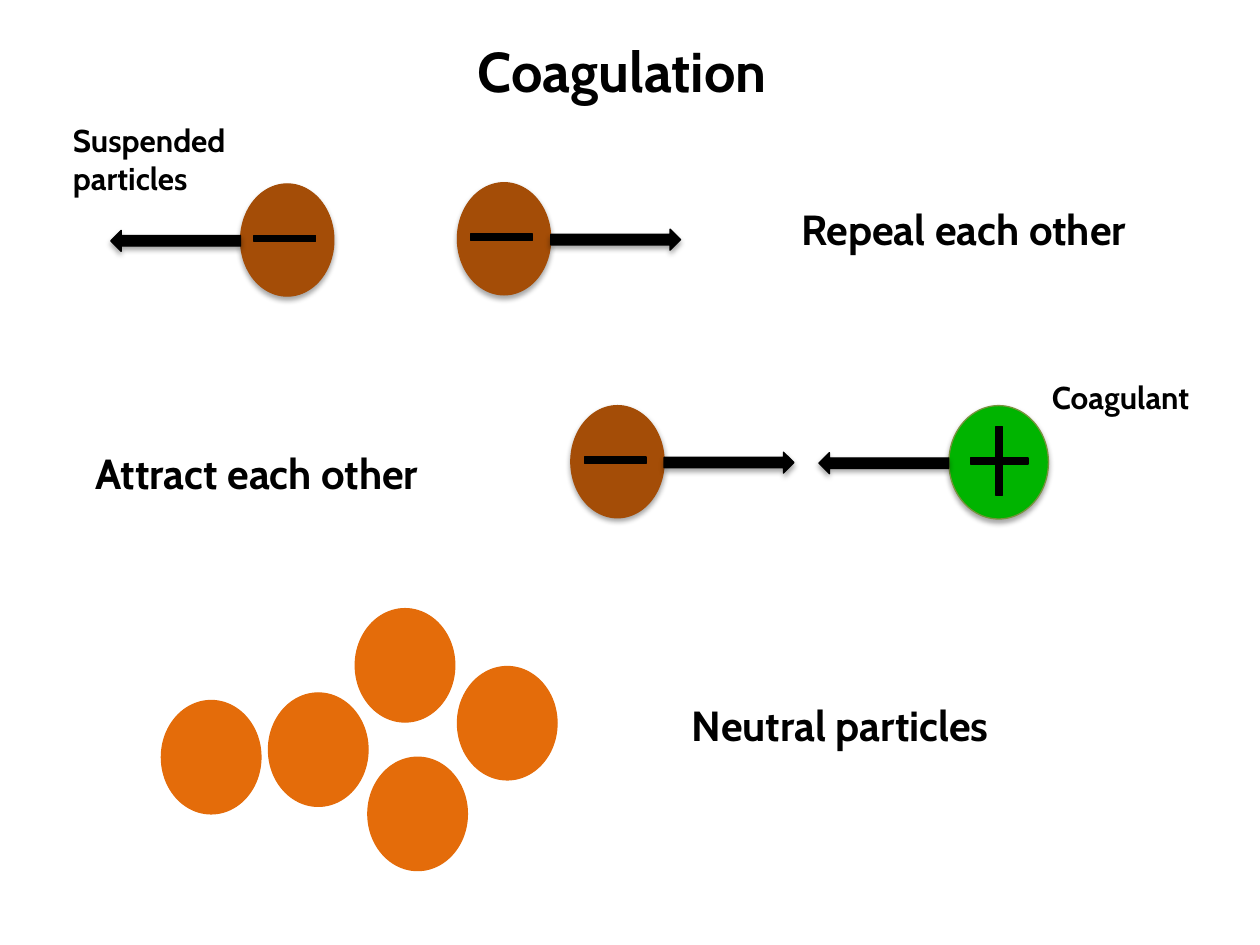
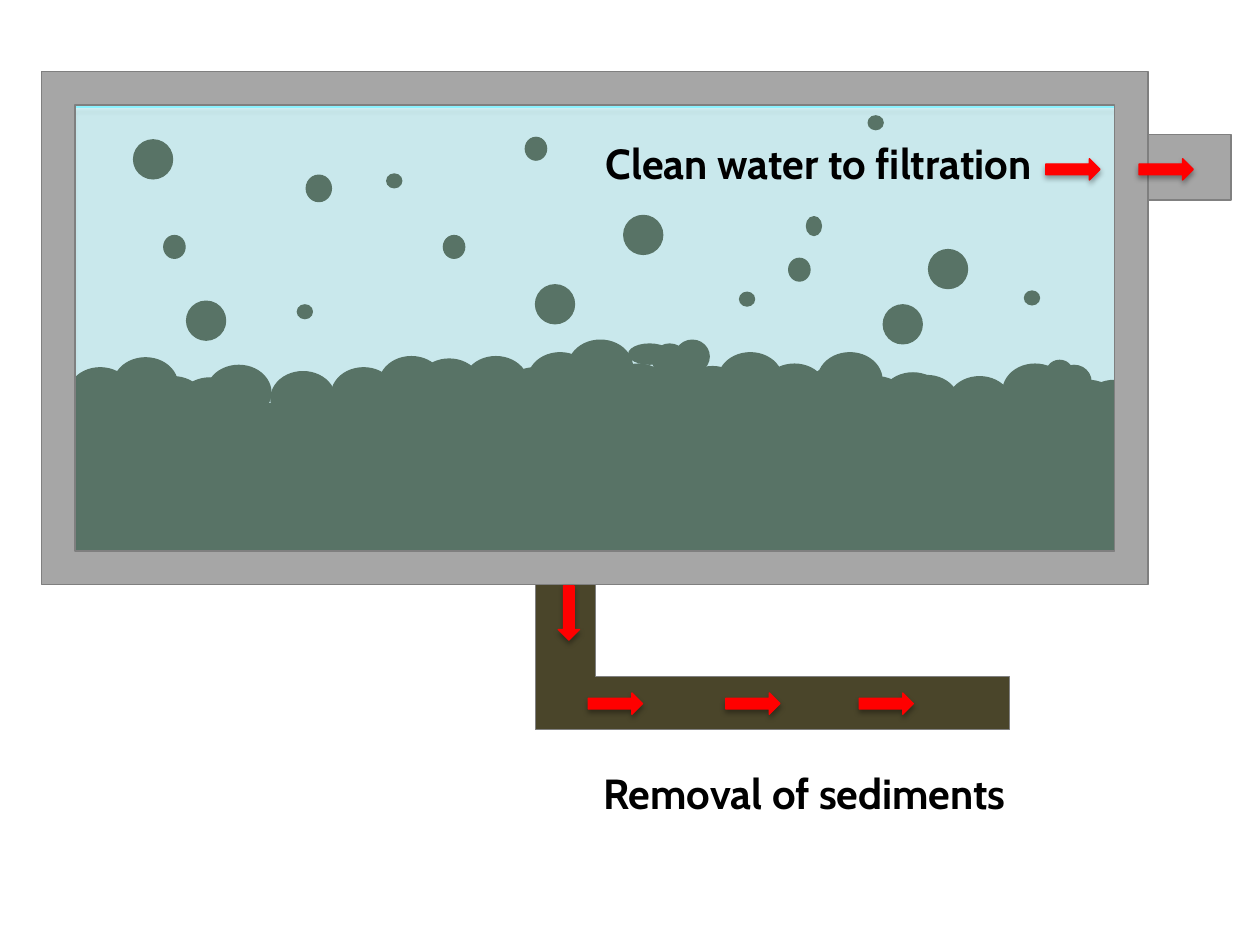
from dataclasses import dataclass

from lxml.etree import SubElement
from pptx import Presentation
from pptx.dml.color import RGBColor
from pptx.enum.shapes import MSO_SHAPE
from pptx.enum.text import MSO_ANCHOR, MSO_AUTO_SIZE, PP_ALIGN
from pptx.oxml.ns import qn
from pptx.util import Pt


@dataclass(frozen=True)
class Theme:
    font: str = "Cabin"
    title_size: int = 32
    heading_size: int = 24
    label_size: int = 18
    line_width: float = 0.75
    ink: str = "000000"
    suspended: str = "A44D07"
    coagulant: str = "00B400"
    coagulant_line: str = "77933C"
    neutral: str = "E46C0A"
    sediment: str = "4A452A"
    water: str = "8CF2FF"
    wall: str = "A6A6A6"
    wall_line: str = "7F7F7F"
    pipe_line: str = "808080"
    flow: str = "FF0000"


THEME = Theme()

# Coagulation content: (text, left, top, width, height, size, alignment)
TITLE = ("Coagulation", 265.7, 17.3, 244.8, 46, THEME.title_size, PP_ALIGN.LEFT)
COAGULATION_TEXTS = [
    ("Repeal each other", 450.7, 113, 244.8, 36, THEME.heading_size, PP_ALIGN.LEFT),
    ("Attract each other", 47.5, 252, 244.8, 36, THEME.heading_size, PP_ALIGN.LEFT),
    ("Neutral particles", 371.5, 396, 217.4, 36, THEME.heading_size, PP_ALIGN.CENTER),
    ("Coagulant", 594, 212.4, 98.6, 29, THEME.label_size, PP_ALIGN.LEFT),
    ("Suspended particles", 34.6, 65.5, 146.2, 51, THEME.label_size, PP_ALIGN.LEFT),
]
SUSPENDED_SIZE = (53.3, 64.1)
LARGE_SIZE = (56.9, 64.8)
FORCE_SIZE = (74.2, 12)
# Charged particles: (left, top, positive, force points right)
CHARGED = [
    (137.5, 105.1, False, False),
    (261.4, 104.4, False, True),
    (326.2, 231.8, False, True),
    (542.2, 231.8, True, False),
]
NEUTRAL = [(153.4, 396), (210.2, 432.7), (203, 347.8), (261.4, 380.9), (92.2, 400.3)]

# Sedimentation content
TANK_TEXTS = [
    ("Removal of sediments", 337.7, 434.9, 257, 36, THEME.heading_size, PP_ALIGN.LEFT),
    ("Clean water to filtration", 339.1, 74.9, 262.8, 65.5, THEME.heading_size, PP_ALIGN.LEFT),
]
# Sediment lumps: size -> positions, left to right
LUMPS = {
    (36.7, 31): [
        (38.9, 210.2), (49, 215.3), (64.8, 204.5), (80.6, 215.3), (101.5, 216),
        (118.1, 208.8), (154.8, 212.4), (160.6, 224.6), (189.4, 210.2), (216.7, 203.8),
        (238.3, 205.2), (238.3, 217.4), (265, 203.8), (287.3, 210.2), (301.7, 201.6),
        (302.4, 213.1), (323.3, 220.3), (324.7, 194.4), (346.3, 208.1), (367.2, 208.8),
        (388.8, 209.5), (410.4, 201.6), (414, 213.1), (435.6, 208.1), (460.8, 208.8),
        (467.3, 201.6), (482.4, 215.3), (503.3, 213.1), (511.2, 214.6), (541.4, 215.3),
        (573.1, 208.1), (603.4, 217.4), (618.5, 217.4),
    ],
    (23.8, 11.5): [(359.3, 196.6)],
    (19.4, 18.7): [(373, 196.6), (385.9, 194.4), (604.1, 208.8)],
    (14.4, 13): [(598.3, 205.9)],
}
# Sinking flocs: size -> positions, left to right
FLOCS = {
    (22.3, 22.3): [
        (76.3, 79.9), (106.6, 172.1), (306, 162.7), (356.4, 123.1), (504.7, 174.2),
        (530.6, 142.6),
    ],
    (14.4, 15.1): [(175, 100.1)],
    (12.2, 13): [(93.6, 134.6), (253.4, 134.6), (300.2, 78.5), (450.7, 147.6)],
    (8.6, 10.8): [(460.8, 123.8)],
    (8.6, 7.9): [
        (169.9, 174.2), (221, 99.4), (422.6, 167), (496.1, 66.2), (585.4, 166.3),
    ],
}
# Drain pipe outline, clockwise from its top left corner
DRAIN_PIPE = [
    (306, 313.9), (340.4, 313.9), (340.4, 386.7), (576.7, 386.7), (576.7, 416.9),
    (306, 416.9),
]
DRAIN_DOWN = (319, 334.8)
DRAIN_RIGHT = [(336.2, 396), (414.7, 396), (491, 396)]
OUTLET_RIGHT = [(597.6, 90.7), (650.9, 90.7)]
FLOW_LENGTH, FLOW_WIDTH = 31, 12.2


def add_shadow(shape):
    effects = shape._element.spPr.find(qn("a:effectLst"))
    shadow = SubElement(effects, qn("a:outerShdw"), blurRad=str(Pt(3.1)),
                        dist=str(Pt(1.8)), dir="5400000", rotWithShape="0")
    color = SubElement(shadow, qn("a:srgbClr"), val=THEME.ink)
    SubElement(color, qn("a:alpha"), val="35000")


def paint(shape, fill, line=None):
    shape.shadow.inherit = False
    shape.fill.solid()
    shape.fill.fore_color.rgb = RGBColor.from_string(fill)
    shape.line.color.rgb = RGBColor.from_string(line or fill)
    shape.line.width = Pt(THEME.line_width)


def draw(page, kind, position, size, fill, line=None, shadow=False, adjustments=()):
    shape = page.shapes.add_shape(kind, *(Pt(length) for length in (*position, *size)))
    paint(shape, fill, line)
    for index, value in enumerate(adjustments):
        shape.adjustments[index] = value
    if shadow:
        add_shadow(shape)
    return shape


def draw_outline(page, points, fill, line):
    start, *others = [(Pt(x), Pt(y)) for x, y in points]
    builder = page.shapes.build_freeform(*start)
    builder.add_line_segments(others, close=True)
    paint(builder.convert_to_shape(), fill, line)


def write(box, text, left, top, width, height, size, alignment):
    box.left, box.top, box.width, box.height = map(Pt, (left, top, width, height))
    frame = box.text_frame
    frame.word_wrap = True
    frame.auto_size = MSO_AUTO_SIZE.NONE
    frame.vertical_anchor = MSO_ANCHOR.TOP
    frame.text = text
    paragraph = frame.paragraphs[0]
    paragraph.alignment = alignment
    paragraph.font.name = THEME.font
    paragraph.font.size = Pt(size)
    paragraph.font.bold = True
    paragraph.font.color.rgb = RGBColor.from_string(THEME.ink)


def add_texts(page, texts):
    for entry in texts:
        write(page.shapes.add_textbox(0, 0, 0, 0), *entry)


def add_ovals(page, groups, fill):
    for size, positions in groups.items():
        for position in positions:
            draw(page, MSO_SHAPE.OVAL, position, size, fill)


def add_charged(page, left, top, positive, rightward):
    width, height = size = LARGE_SIZE if positive else SUSPENDED_SIZE
    fill = THEME.coagulant if positive else THEME.suspended
    line = THEME.coagulant_line if positive else None
    draw(page, MSO_SHAPE.OVAL, (left, top), size, fill, line, shadow=True)
    # Charge sign
    if positive:
        draw(page, MSO_SHAPE.MATH_PLUS, (left + 6.5, top + 5), (44.6, 53.3),
             THEME.ink, adjustments=[0.08])
    else:
        draw(page, MSO_SHAPE.RECTANGLE, (left + 7.6, top + 29.3), (35.3, 3.6), THEME.ink)
    # Force arrow starting at the particle's edge
    kind = MSO_SHAPE.RIGHT_ARROW if rightward else MSO_SHAPE.LEFT_ARROW
    arrow_left = left + width if rightward else left - FORCE_SIZE[0]
    arrow_top = top + (height - FORCE_SIZE[1]) / 2 + 0.5
    draw(page, kind, (arrow_left, arrow_top), FORCE_SIZE, THEME.ink, shadow=True)


def build_coagulation(deck):
    page = deck.slides.add_slide(deck.slide_layouts[5])
    write(page.shapes.title, *TITLE)
    for particle in CHARGED:
        add_charged(page, *particle)
    add_ovals(page, {LARGE_SIZE: NEUTRAL}, THEME.neutral)
    add_texts(page, COAGULATION_TEXTS)


def build_sedimentation(deck):
    page = deck.slides.add_slide(deck.slide_layouts[6])
    # Sediment and pipes
    add_ovals(page, LUMPS, THEME.sediment)
    draw_outline(page, DRAIN_PIPE, THEME.sediment, THEME.pipe_line)
    draw(page, MSO_SHAPE.RECTANGLE, (38.9, 230.4), (617, 86.4), THEME.sediment)
    draw(page, MSO_SHAPE.RECTANGLE, (655.9, 77), (47.5, 37.4), THEME.wall, THEME.pipe_line)
    add_ovals(page, FLOCS, THEME.sediment)
    # Translucent water inside the tank wall
    water = draw(page, MSO_SHAPE.RECTANGLE, (41.8, 61.2), (601.2, 267.1), THEME.water,
                 shadow=True)
    color = water._element.spPr.find(qn("a:solidFill")).find(qn("a:srgbClr"))
    SubElement(color, qn("a:alpha"), val="30000")
    draw(page, MSO_SHAPE.FRAME, (23.8, 41), (632.2, 293), THEME.wall, THEME.wall_line,
         adjustments=[0.065])
    # Flow arrows
    draw(page, MSO_SHAPE.DOWN_ARROW, DRAIN_DOWN, (FLOW_WIDTH, FLOW_LENGTH), THEME.flow,
         shadow=True)
    for position in DRAIN_RIGHT + OUTLET_RIGHT:
        draw(page, MSO_SHAPE.RIGHT_ARROW, position, (FLOW_LENGTH, FLOW_WIDTH), THEME.flow,
             shadow=True)
    add_texts(page, TANK_TEXTS)


def main():
    deck = Presentation()
    deck.slide_width, deck.slide_height = Pt(720), Pt(540)
    build_coagulation(deck)
    build_sedimentation(deck)
    deck.save("out.pptx")


if __name__ == "__main__":
    main()
